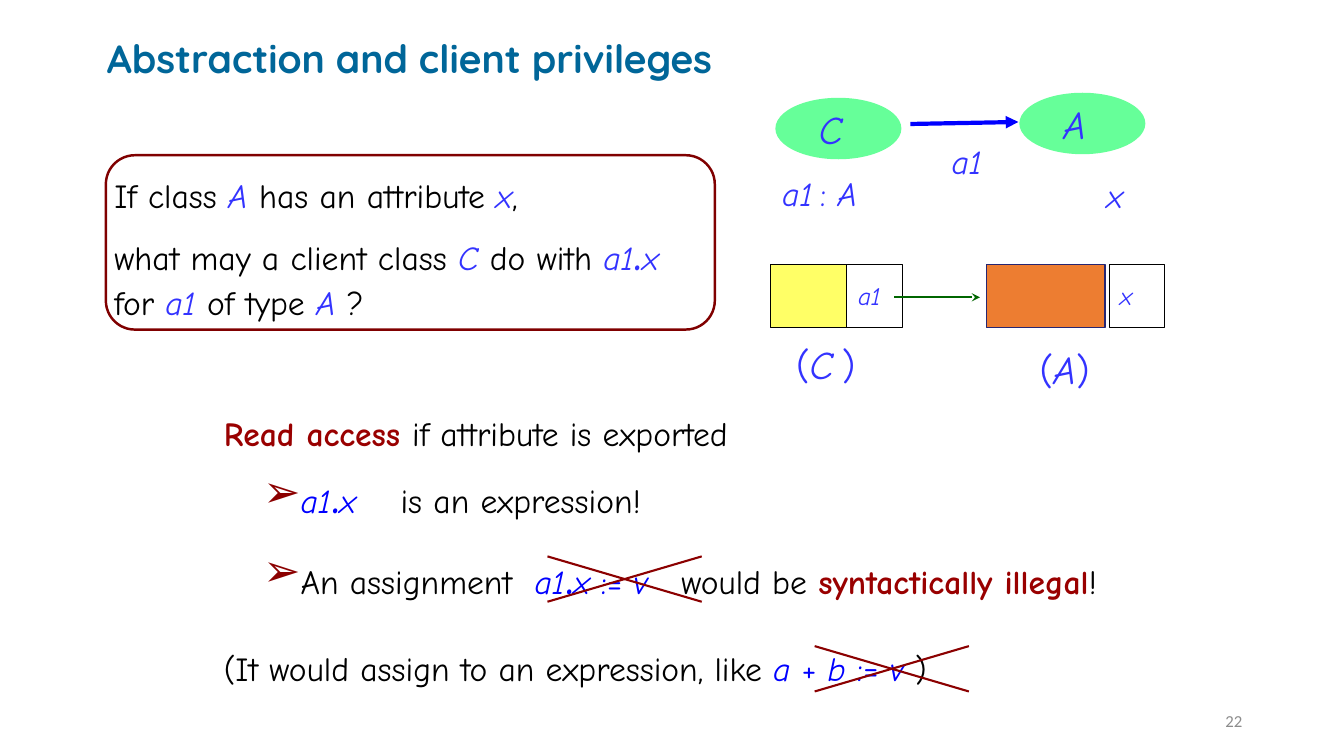
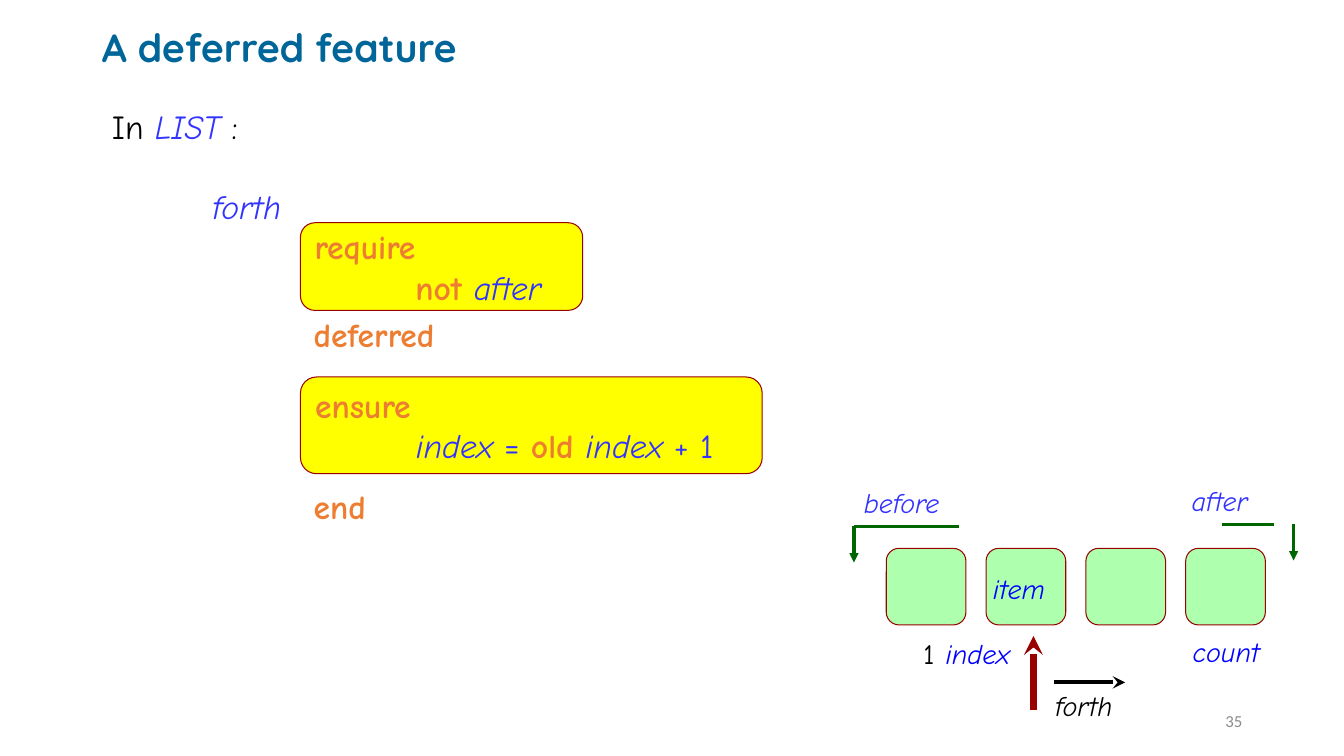
"""Build two lecture slides on client privileges and deferred features."""
import pptx
import pptx.util
import pptx.dml.color
import pptx.enum.text
import pptx.enum.shapes
import pptx.oxml.ns
import lxml.etree

Inches, Pt = pptx.util.Inches, pptx.util.Pt
RGBColor = pptx.dml.color.RGBColor
MSO = pptx.enum.shapes.MSO_SHAPE
ANCHOR = pptx.enum.text.MSO_ANCHOR
ALIGN = pptx.enum.text.PP_ALIGN
qn = pptx.oxml.ns.qn
SubElement = lxml.etree.SubElement

TEAL = RGBColor(0x00, 0x66, 0x99)
BLACK = RGBColor(0x00, 0x00, 0x00)
GREY = RGBColor(0x8C, 0x8C, 0x8C)
BLUE = RGBColor(0x00, 0x00, 0xFF)
INDIGO = RGBColor(0x33, 0x33, 0xFF)
NAVY = RGBColor(0x26, 0x26, 0x72)
RED = RGBColor(0x99, 0x00, 0x00)
DARK_RED = RGBColor(0x8B, 0x00, 0x00)
MAROON = RGBColor(0x80, 0x00, 0x00)
ORANGE = RGBColor(0xED, 0x7D, 0x31)
YELLOW = RGBColor(0xFF, 0xFF, 0x00)
PALE_YELLOW = RGBColor(0xFF, 0xFF, 0x66)
MINT = RGBColor(0x66, 0xFF, 0x99)
PALE_GREEN = RGBColor(0x99, 0xFF, 0x99)
GREEN = RGBColor(0x00, 0x66, 0x00)

BASE = dict(name="Comic Neue", size=Pt(24), bold=False, italic=False, color=BLACK)
TITLE = dict(name="Quicksand", size=Pt(28), bold=True, color=TEAL)
NUMBER = dict(name="Calibri", size=Pt(12), color=GREY)
PLAIN = {}
STRONG = dict(bold=True, color=RED)
KEYWORD = dict(bold=True, color=ORANGE)
VAR = dict(italic=True, color=INDIGO)
SIGN = dict(color=INDIGO)
DOT = dict(size=Pt(40), color=INDIGO)
CODE = dict(italic=True, color=BLUE)
CODE_SIGN = dict(color=BLUE)
CODE_DOT = dict(size=Pt(40), color=BLUE)
BIG = dict(VAR, size=Pt(28))
BIG_SIGN = dict(SIGN, size=Pt(28))
SMALL = dict(VAR, size=Pt(18))
TAG = dict(VAR, size=Pt(20))
TAG_BLUE = dict(CODE, size=Pt(20))
TAG_BLACK = dict(italic=True, size=Pt(20))

BODY = dict(line_spacing=0.9)
TIGHT = dict(line_spacing=0.8)
CENTRED = dict(alignment=ALIGN.CENTER)
BULLET = dict(level=1, margin=0.59, indent=-0.2, bullet="➢", space_before=Pt(8))


def write(tf, paras, left=0.1, top=0.05, right=0.1, bottom=0.05, anchor=ANCHOR.TOP):
    frame = dict(margin_left=Inches(left), margin_top=Inches(top),
                 margin_right=Inches(right), margin_bottom=Inches(bottom),
                 vertical_anchor=anchor, word_wrap=True,
                 auto_size=pptx.enum.text.MSO_AUTO_SIZE.NONE)
    for key, value in frame.items():
        setattr(tf, key, value)
    for i, (pfmt, runs) in enumerate(paras):
        p = tf.add_paragraph() if i else tf.paragraphs[0]
        pfmt = dict(dict(alignment=ALIGN.LEFT, space_before=Pt(0)), **pfmt)
        pPr = p._p.get_or_add_pPr()
        pPr.set("marL", str(Inches(pfmt.pop("margin", 0))))
        pPr.set("indent", str(Inches(pfmt.pop("indent", 0))))
        bullet = pfmt.pop("bullet", None)
        if bullet:
            SubElement(SubElement(pPr, qn("a:buClr")), qn("a:srgbClr")).set("val", str(DARK_RED))
            SubElement(pPr, qn("a:buSzPct")).set("val", "133000")
            SubElement(pPr, qn("a:buChar")).set("char", bullet)
        else:
            SubElement(pPr, qn("a:buNone"))
        for key, value in pfmt.items():
            setattr(p, key, value)
        for text, style in runs:
            r = p.add_run()
            r.text = text
            for key, value in dict(BASE, **style).items():
                if key == "color":
                    r.font.color.rgb = value
                elif key == "spacing":
                    r._r.get_or_add_rPr().set("spc", str(value))
                else:
                    setattr(r.font, key, value)


def draw_line(s, x1, y1, x2, y2, color, width, tail=None):
    c = s.shapes.add_connector(pptx.enum.shapes.MSO_CONNECTOR.STRAIGHT,
                               Inches(x1), Inches(y1), Inches(x2), Inches(y2))
    c.line.color.rgb = color
    c.line.width = Pt(width)
    if tail:
        SubElement(c.line._get_or_add_ln(), qn("a:tailEnd")).set("type", tail)
    SubElement(c._element.spPr, qn("a:effectLst"))


prs = pptx.Presentation()
prs.slide_width, prs.slide_height = Inches(13.33), Inches(7.5)

access_body = [
    (BODY, [("Read access ", STRONG), ("if attribute is exported", PLAIN)]),
    (dict(BODY, **BULLET), [
        ("a1", CODE), (".", CODE_DOT), ("x", CODE), (" ", dict(spacing=2400)),
        ("is an expression!", PLAIN)]),
    (dict(BULLET, line_spacing=0.75, space_before=Pt(21)), [
        ("An assignment", PLAIN), (" ", dict(spacing=800)),
        ("a1", CODE), (".", CODE_DOT), ("x", CODE), (" := ", CODE_SIGN), ("v", CODE),
        (" ", dict(spacing=1600)), ("would be ", PLAIN),
        ("syntactically illegal", STRONG), ("!", PLAIN)]),
    (dict(BODY, space_before=Pt(34)), [
        ("(It would assign to an expression, like ", PLAIN), ("a", CODE),
        (" + ", CODE_SIGN), ("b ", CODE), (":= ", CODE_SIGN), ("v ", CODE), (")", PLAIN)]),
]
feature_body = [
    (BODY, [("In ", PLAIN), ("LIST ", VAR), (":", PLAIN)]),
    (dict(BODY, margin=1, space_before=Pt(30.6)), [("forth", VAR)]),
    (dict(BODY, margin=2, space_before=Pt(66)), [("deferred", KEYWORD)]),
    (dict(BODY, margin=2, space_before=Pt(97)), [("end", KEYWORD)]),
]
pages = [
    ("Abstraction and client privileges", (1.06, 0.21, 8.89, 0.79),
     access_body, (2.12, 4.09, 9.69, 2.85), "22"),
    ("A deferred feature", (1.01, 0.25, 8.69, 0.48),
     feature_body, (1.01, 1.05, 9.53, 5.92), "35"),
]
slides = []
for title, title_box, body, body_box, number in pages:
    s = prs.slides.add_slide(prs.slide_layouts[1])
    slides.append(s)
    for sp, box in ((s.shapes.title, title_box), (s.placeholders[1], body_box)):
        sp.left, sp.top, sp.width, sp.height = map(Inches, box)
    write(s.shapes.title.text_frame, [(BODY, [(title, TITLE)])], 0, 0, 0, 0, ANCHOR.MIDDLE)
    write(s.placeholders[1].text_frame, body)
    tb = s.shapes.add_textbox(Inches(9.42), Inches(6.95), Inches(3), Inches(0.4))
    write(tb.text_frame, [(dict(alignment=ALIGN.RIGHT), [(number, NUMBER)])],
          anchor=ANCHOR.MIDDLE)
access, feature = slides

question = [
    (PLAIN, [("If class ", PLAIN), ("A", VAR), (" has an attribute ", PLAIN),
             ("x", VAR), (",", PLAIN)]),
    (PLAIN, [("what may a client class ", PLAIN), ("C ", VAR), ("do with ", PLAIN),
             ("a1", VAR), (".", DOT), ("x", VAR), (" for ", PLAIN), ("a1", VAR),
             (" of type ", PLAIN), ("A ", VAR), ("?", PLAIN)]),
]
require = [
    (PLAIN, [("require", KEYWORD)]),
    (dict(margin=1), [("not ", KEYWORD), ("after", VAR)]),
]
ensure = [
    (PLAIN, [("ensure", KEYWORD)]),
    (dict(margin=1), [("index", VAR), (" = ", SIGN), ("old ", KEYWORD),
                      ("index ", VAR), ("+ 1", SIGN)]),
]
CLASS_PAD = dict(left=0, top=0, right=0.15, bottom=0)
FIELD_PAD = dict(left=0.11, top=0, right=0, bottom=0)
shapes = [
    (access, MSO.ROUNDED_RECTANGLE, (1.05, 1.54, 6.04, 1.73), None, MAROON, 1.75,
     question, dict(left=0, top=0.12, right=0, bottom=0)),
    (access, MSO.OVAL, (7.69, 0.97, 1.25, 0.61), MINT, None, 0,
     [(CENTRED, [("C", BIG)])], CLASS_PAD),
    (access, MSO.OVAL, (10.11, 0.92, 1.25, 0.61), MINT, None, 0,
     [(CENTRED, [("A", BIG)])], CLASS_PAD),
    (access, MSO.RECTANGLE, (7.64, 2.62, 0.76, 0.63), PALE_YELLOW, BLACK, 0.75, [], {}),
    (access, MSO.RECTANGLE, (8.4, 2.62, 0.55, 0.63), None, BLACK, 0.75,
     [(PLAIN, [("a1", SMALL)])], FIELD_PAD),
    (access, MSO.RECTANGLE, (9.78, 2.62, 1.18, 0.63), ORANGE, NAVY, 0.75, [], {}),
    (access, MSO.RECTANGLE, (11, 2.62, 0.55, 0.63), None, BLACK, 0.75,
     [(PLAIN, [("x", SMALL)])], FIELD_PAD),
    (feature, MSO.ROUNDED_RECTANGLE, (2.98, 2.21, 2.8, 0.87), YELLOW, RED, 0.75, require, {}),
    (feature, MSO.ROUNDED_RECTANGLE, (2.98, 3.74, 4.58, 0.96), YELLOW, RED, 0.75, ensure, {}),
]
for i in range(4):
    tile_text = [(TIGHT, [("item", TAG_BLUE)])] if i == 1 else []
    shapes.append((feature, MSO.ROUNDED_RECTANGLE, (8.79 + 0.99 * i, 5.44, 0.79, 0.76),
                   PALE_GREEN, RED, 0.75, tile_text,
                   dict(left=0.03, top=0.1, right=0, bottom=0)))
for s, kind, box, fill, edge, width, paras, pad in shapes:
    sp = s.shapes.add_shape(kind, *map(Inches, box))
    sp.shadow.inherit = False
    if fill:
        sp.fill.solid()
        sp.fill.fore_color.rgb = fill
    else:
        sp.fill.background()
    if fill == PALE_GREEN:
        clr = sp._element.spPr.find(qn("a:solidFill")).find(qn("a:srgbClr"))
        SubElement(clr, qn("a:alpha")).set("val", "79000")
    if edge:
        sp.line.color.rgb = edge
        sp.line.width = Pt(width)
    else:
        sp.line.fill.background()
    if paras:
        write(sp.text_frame, paras, anchor=ANCHOR.MIDDLE, **pad)

labels = [
    (access, (7.66, 1.67, 1.19, 0.5), PLAIN,
     [("a1", VAR), (" ", dict(VAR, size=Pt(16))), (": ", SIGN), ("A", VAR)]),
    (access, (9.34, 1.35, 0.6, 0.5), PLAIN, [("a1", VAR)]),
    (access, (10.88, 1.69, 0.53, 0.5), PLAIN, [("x", VAR)]),
    (access, (7.64, 3.33, 1.1, 0.55), CENTRED,
     [("(", BIG_SIGN), ("C", BIG), (" ", SMALL), (")", BIG_SIGN)]),
    (access, (10.01, 3.38, 1.1, 0.55), CENTRED,
     [("(", BIG_SIGN), ("A", BIG), (")", BIG_SIGN)]),
    (feature, (8.47, 4.83, 1.18, 0.37), TIGHT, [("before", TAG)]),
    (feature, (11.72, 4.81, 1.02, 0.37), TIGHT, [("after", TAG)]),
    (feature, (9.06, 6.33, 0.51, 0.37), TIGHT, [("1", dict(size=Pt(20)))]),
    (feature, (9.28, 6.33, 1.02, 0.37), TIGHT, [("index", TAG_BLUE)]),
    (feature, (11.73, 6.31, 1.02, 0.37), TIGHT, [("count", TAG_BLUE)]),
    (feature, (10.37, 6.85, 1.02, 0.37), TIGHT, [("forth", TAG_BLACK)]),
]
for s, box, pfmt, runs in labels:
    tb = s.shapes.add_textbox(*map(Inches, box))
    write(tb.text_frame, [(pfmt, runs)])

for left, top in ((5.43, 5.52), (8.08, 6.41)):
    right, bottom = left + 1.53, top + 0.45
    draw_line(access, left, bottom, right, top, DARK_RED, 1.5)
    draw_line(access, right, bottom, left, top, DARK_RED, 1.5)
draw_line(access, 9.03, 1.23, 10.1, 1.21, BLUE, 3, "triangle")
draw_line(access, 8.87, 2.95, 9.72, 2.95, GREEN, 1.5, "stealth")

draw_line(feature, 8.47, 5.22, 9.51, 5.22, GREEN, 2.25)
draw_line(feature, 8.47, 5.22, 8.47, 5.58, GREEN, 2.25, "triangle")
draw_line(feature, 12.12, 5.2, 12.64, 5.2, GREEN, 2.25)
draw_line(feature, 12.83, 5.2, 12.83, 5.56, GREEN, 2.25, "triangle")
draw_line(feature, 10.25, 7.04, 10.25, 6.31, RED, 4.5, "stealth")
draw_line(feature, 10.45, 6.77, 11.16, 6.77, BLACK, 3, "stealth")

prs.save("out.pptx")
